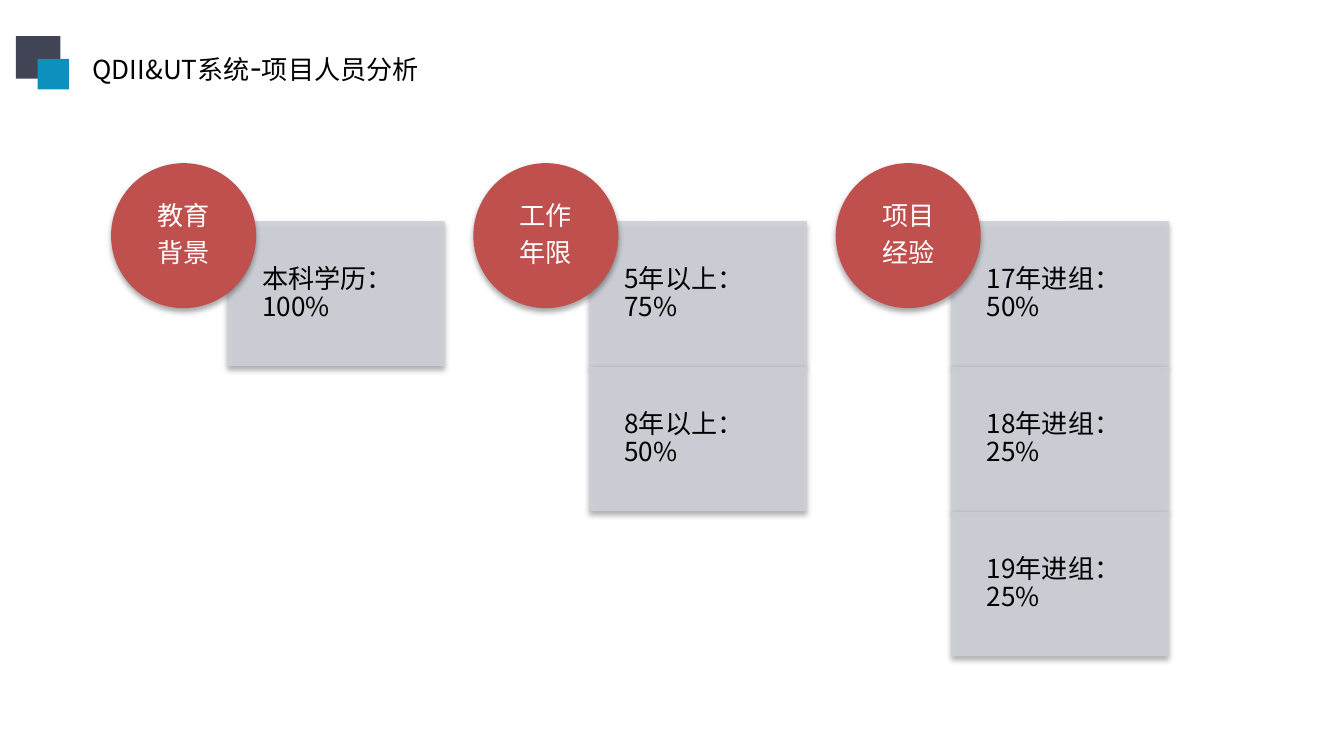
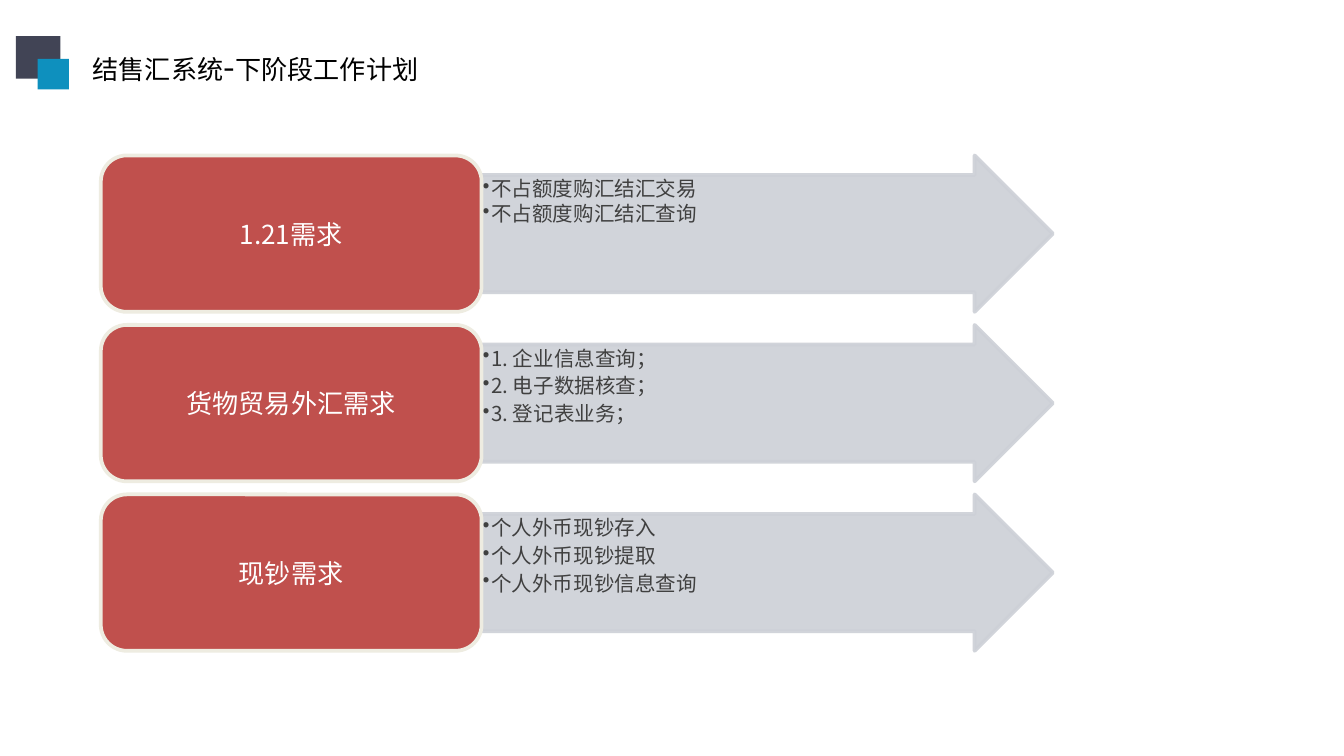
import pptx
import pptx.util
import pptx.dml.color
import pptx.enum.shapes
import pptx.enum.text
import pptx.oxml.ns
from lxml import etree

Pt = pptx.util.Pt
SHAPE = pptx.enum.shapes.MSO_SHAPE
ALIGN = pptx.enum.text.PP_ALIGN
ANCHOR = pptx.enum.text.MSO_ANCHOR
qn = pptx.oxml.ns.qn

FONT = "Noto Sans CJK SC"
BLACK, WHITE, BODY = "000000", "FFFFFF", "404040"
NAVY, BLUE, RED, GREY, CREAM = "414455", "0E90BE", "C0504D", "CDD0D7", "EEECE1"

COLUMNS = [
    ("教育\n背景", ["本科学历：100%"]),
    ("工作\n年限", ["5年以上：75%", "8年以上：50%"]),
    ("项目\n经验", ["17年进组：50%", "18年进组：25%", "19年进组：25%"]),
]
# heading, tasks, line spacing of the tasks after the first
PLANS = [
    ("1.21需求", ["不占额度购汇结汇交易", "不占额度购汇结汇查询"], 0.9),
    ("货物贸易外汇需求", ["1. 企业信息查询；", "2. 电子数据核查；", "3. 登记表业务；"], None),
    ("现钞需求", ["个人外币现钞存入", "个人外币现钞提取", "个人外币现钞信息查询"], None),
]


def paint(color, value, alpha=None):
    """Set a fill, line or font colour from a hex string, with opacity in percent."""
    color.rgb = pptx.dml.color.RGBColor.from_string(value)
    if alpha:
        srgb = color._xFill.find(qn("a:srgbClr"))
        etree.SubElement(srgb, qn("a:alpha")).set("val", str(alpha * 1000))


def style_run(r, size, color):
    r.font.size = Pt(size)
    r.font.fill.solid()
    paint(r.font.fill.fore_color, color)
    r.font.name = FONT
    etree.SubElement(r.font._element, qn("a:ea")).set("typeface", FONT)


def add_shadow(sp):
    effects = sp._element.spPr.find(qn("a:effectLst"))
    shadow = etree.SubElement(effects, qn("a:outerShdw"), blurRad=str(Pt(3.1)),
                              dist=str(Pt(1.8)), dir="5400000", rotWithShape="0")
    srgb = etree.SubElement(shadow, qn("a:srgbClr"), val=BLACK)
    etree.SubElement(srgb, qn("a:alpha"), val="35000")


def add_shape(s, kind, box, fill, alpha=None, line=None, shadow=False):
    sp = s.shapes.add_shape(kind, *map(Pt, box))
    sp.shadow.inherit = False
    sp.fill.solid()
    paint(sp.fill.fore_color, fill, alpha)
    if line:
        sp.line.width = Pt(2)
        sp.line.fill.solid()
        paint(sp.line.fill.fore_color, line, alpha)
    else:
        sp.line.fill.background()
    if shadow:
        add_shadow(sp)
    return sp


def set_text(sp, text, size, color, margins, align=ALIGN.LEFT,
             anchor=ANCHOR.MIDDLE, spacing=None, after=0.35):
    """Fill a shape with text; after is the paragraph gap as a share of the size."""
    tf = sp.text_frame
    tf.word_wrap = True
    tf.vertical_anchor = anchor
    tf.margin_left, tf.margin_top, tf.margin_right, tf.margin_bottom = map(Pt, margins)
    tf.text = text
    for p in tf.paragraphs:
        p.alignment = align
        p.line_spacing = spacing
        p.space_after = Pt(size * after)
        for r in p.runs:
            style_run(r, size, color)
    return tf


def add_bullet(p):
    pPr = p._p.get_or_add_pPr()
    pPr.set("marL", str(Pt(4.5)))
    pPr.set("indent", str(-Pt(4.5)))
    etree.SubElement(pPr, qn("a:buChar")).set("char", "•")


def add_slide(prs, system, topic):
    """Add a slide with the two-square mark and the title."""
    s = prs.slides.add_slide(prs.slide_layouts[6])
    title = s.shapes.add_textbox(Pt(42.5), Pt(21), Pt(195), Pt(29))
    tf = title.text_frame
    tf.word_wrap = True
    for text, size in ((system, 14), ("-", 18), (topic, 14)):
        r = tf.paragraphs[0].add_run()
        r.text = text
        style_run(r, size, BLACK)
    add_shape(s, SHAPE.RECTANGLE, (8.6, 19.4, 23.8, 22.8), NAVY)
    add_shape(s, SHAPE.RECTANGLE, (20.1, 31.5, 16.8, 16.4), BLUE)
    return s


def add_column(s, left, heading, facts):
    """Stack the fact cards and overlap them with the heading circle."""
    size = 77.7
    for i, fact in enumerate(facts):
        card = add_shape(s, SHAPE.RECTANGLE, (left + 62.2, 118.5 + i * size, 116.5, size),
                         GREY, alpha=90, shadow=True)
        set_text(card, fact, 14, BLACK, (18.7, 8, 8, 8), spacing=0.9)
    circle = add_shape(s, SHAPE.OVAL, (left, 87.4, size, size), RED, shadow=True)
    set_text(circle, heading, 14, WHITE, (0, 0, 0, 0), ALIGN.CENTER, spacing=0.9)


def add_plan(s, top, heading, tasks, spacing):
    arrow = add_shape(s, SHAPE.RIGHT_ARROW, (258, top, 306, 83.8), GREY, alpha=90, line=GREY)
    arrow.adjustments[0], arrow.adjustments[1] = 0.75, 0.5
    tf = set_text(arrow, "\n".join(tasks), 11, BODY, (0.6, 0.6, 0.6, 0.6),
                  anchor=ANCHOR.TOP, after=0.15)
    for p in tf.paragraphs:
        p.level = 1
        add_bullet(p)
    for p in tf.paragraphs[1:]:
        p.line_spacing = spacing
    label = add_shape(s, SHAPE.ROUNDED_RECTANGLE, (54, top, 204, 83.8), RED, line=CREAM)
    set_text(label, heading, 14, WHITE, (4.2, 2.1, 4.2, 2.1), ALIGN.CENTER)


def main():
    prs = pptx.Presentation()
    prs.slide_width, prs.slide_height = Pt(720), Pt(405)

    s = add_slide(prs, "QDII&UT系统", "项目人员分析")
    for i, (heading, facts) in enumerate(COLUMNS):
        add_column(s, 59.5 + i * 194.1, heading, facts)

    s = add_slide(prs, "结售汇系统", "下阶段工作计划")
    for i, (heading, tasks, spacing) in enumerate(PLANS):
        add_plan(s, 83.3 + i * 90.8, heading, tasks, spacing)

    prs.save("out.pptx")


if __name__ == "__main__":
    main()
